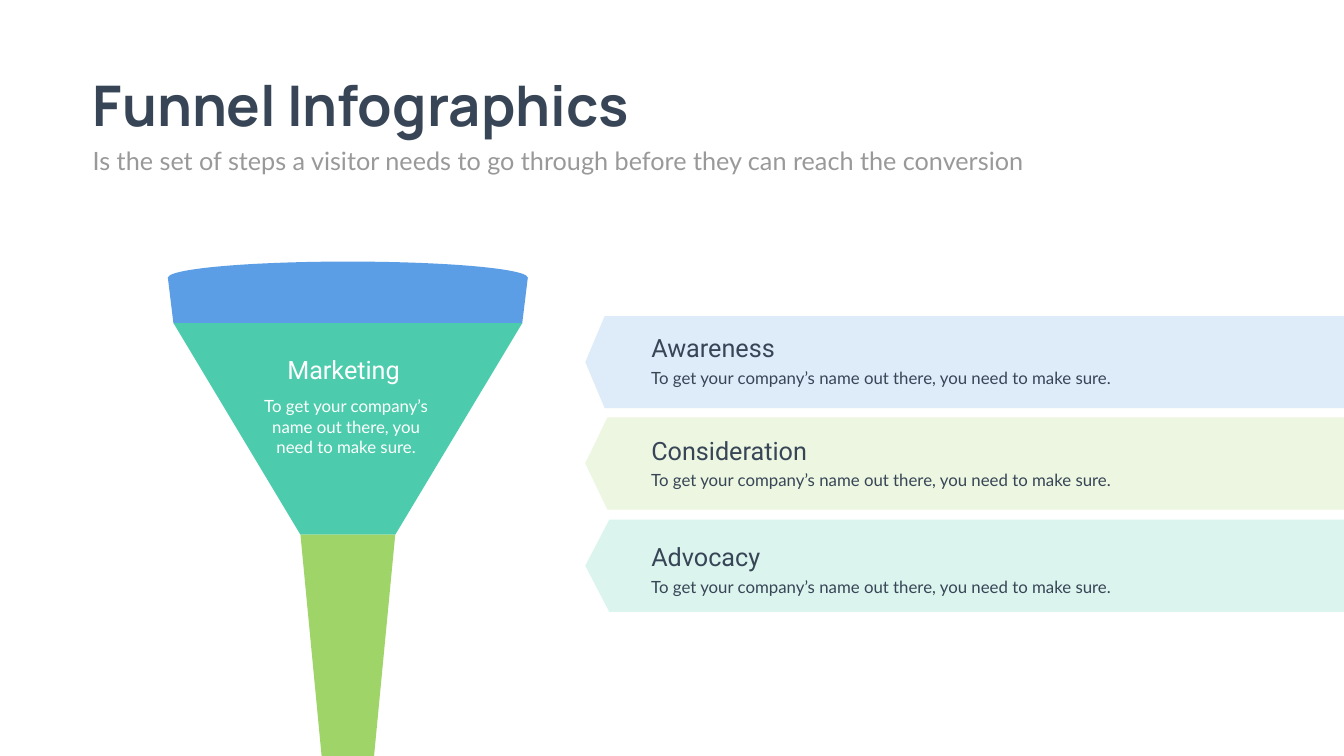
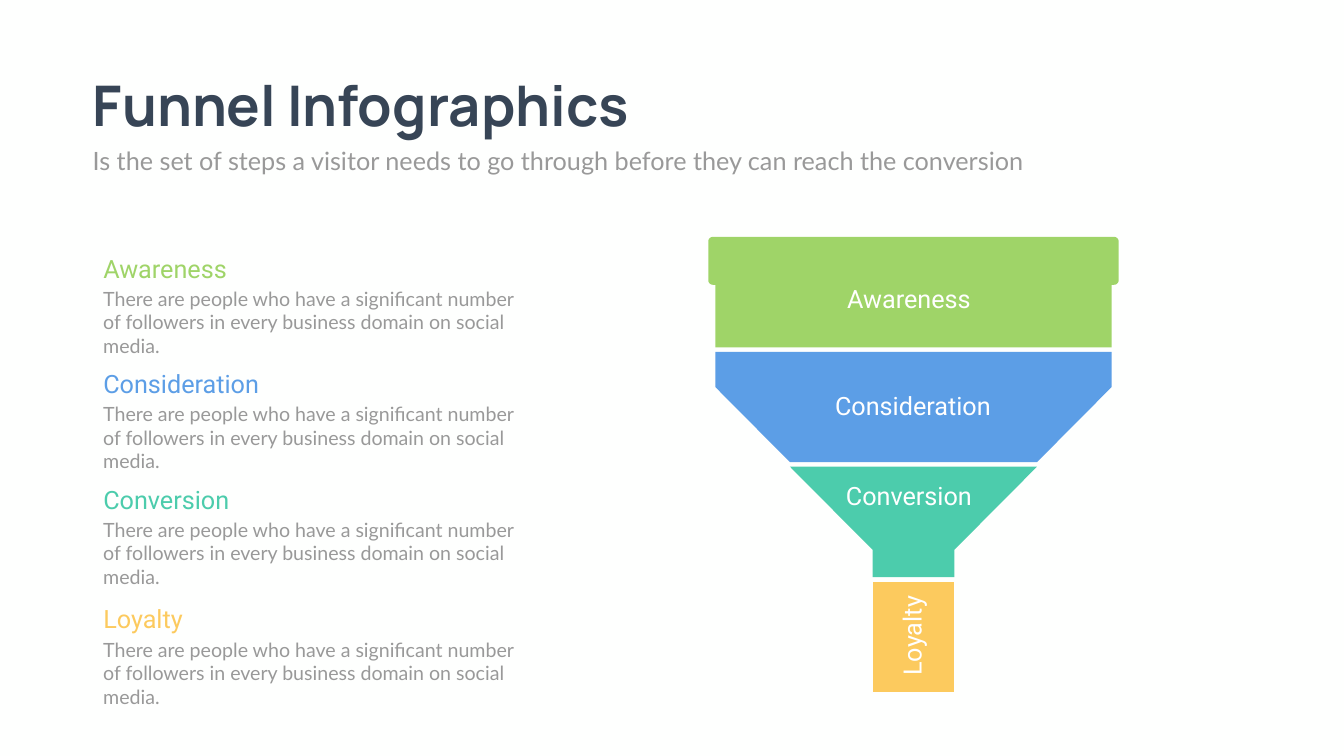
from dataclasses import dataclass, field
from math import cos, radians, sin
from typing import NamedTuple

from pptx import Presentation
from pptx.dml.color import RGBColor as RGB
from pptx.enum.shapes import MSO_SHAPE as Kind
from pptx.enum.text import MSO_ANCHOR as Anchor, MSO_AUTO_SIZE as Fit, PP_ALIGN as Align
from pptx.util import Inches, Pt


# Colours and type styles
@dataclass(frozen=True)
class Theme:
    back: str = "FEFFFE"
    ink: str = "374556"
    gray: str = "999999"
    white: str = "FFFFFF"
    blue: str = "5C9EE6"
    teal: str = "4CCCAC"
    green: str = "9FD468"
    gold: str = "FCCA5E"
    sky: str = "DEECFA"
    lime: str = "ECF6E1"
    mint: str = "DBF5EE"
    title: dict = field(default_factory=lambda: dict(name="Manrope", size=Pt(80), bold=True))
    head: dict = field(default_factory=lambda: dict(name="Roboto", size=Pt(36)))
    lead: dict = field(default_factory=lambda: dict(name="Lato", size=Pt(36)))
    body: dict = field(default_factory=lambda: dict(name="Lato", size=Pt(28)))
    small: dict = field(default_factory=lambda: dict(name="Lato", size=Pt(24)))


THEME = Theme()
TITLE = "Funnel Infographics"
LEAD = "Is the set of steps a visitor needs to go through before they can reach the conversion"
PITCH = "To get your company’s name out there, you need to make sure."
CROWD = ("There are people who have a significant number of followers "
         "in every business domain on social media.")


# Repeated elements, in inches
class Box(NamedTuple):
    left: float
    top: float
    width: float
    height: float

    def lengths(self) -> list:
        return [Inches(side) for side in self]


class Bar(NamedTuple):
    name: str
    top: float
    text_top: float
    point: float
    fill: str


class Step(NamedTuple):
    name: str
    top: float
    color: str


class Label(NamedTuple):
    name: str
    box: Box
    turn: int = 0


class Layer(NamedTuple):
    """Right-hand edge of a funnel part, as (half width, y) from top to bottom."""
    edge: list
    fill: str


# Drawing functions
def paint(shape, color: str) -> None:
    shape.fill.solid()
    shape.fill.fore_color.rgb = RGB.from_string(color)
    shape.line.fill.background()
    shape.shadow.inherit = False


def write(shape, text: str, style: dict, color: str, align=Align.LEFT, anchor=Anchor.TOP) -> None:
    frame = shape.text_frame
    frame.text = text
    for key, value in dict(word_wrap=True, auto_size=Fit.NONE, vertical_anchor=anchor).items():
        setattr(frame, key, value)
    line = frame.paragraphs[0]
    line.alignment = align
    for key, value in style.items():
        setattr(line.font, key, value)
    line.font.color.rgb = RGB.from_string(color)


def add_text(slide, box: Box, text: str, style: dict, color: str, align=Align.LEFT, turn: int = 0) -> None:
    shape = slide.shapes.add_textbox(*box.lengths())
    shape.rotation = turn
    write(shape, text, style, color, align)


def add_bar(slide, bar: Bar) -> None:
    shape = slide.shapes.add_shape(Kind.PENTAGON, *Box(11.61, bar.top, 15.05, 1.83).lengths())
    shape.rotation = 180
    shape.adjustments[0] = bar.point
    paint(shape, bar.fill)
    add_text(slide, Box(12.82, bar.text_top, 9.88, 0.71), bar.name, THEME.head, THEME.ink)
    add_text(slide, Box(12.82, bar.text_top + 0.69, 10.26, 0.5), PITCH, THEME.small, THEME.ink)


def add_step(slide, step: Step) -> None:
    add_text(slide, Box(1.95, step.top, 3.82, 0.71), step.name, THEME.head, step.color)
    add_text(slide, Box(1.95, step.top + 0.67, 8.76, 1.04), CROWD, THEME.body, THEME.gray)


def add_funnel(slide, mid: float, layers: list):
    """Mirror each layer's edge about the middle and group the parts."""
    group = slide.shapes.add_group_shape()
    for layer in layers:
        right = [(mid + half, y) for half, y in layer.edge]
        left = [(mid - half, y) for half, y in reversed(layer.edge)]
        spots = [(Inches(x), Inches(y)) for x, y in right + left]
        pen = group.shapes.build_freeform(*spots[0])
        pen.add_line_segments(spots[1:], close=True)
        paint(pen.convert_to_shape(), layer.fill)
    return group


def round_off(x: float, y: float, radius: float, start: int) -> list:
    """Points of a quarter circle around (x, y)."""
    turns = [radians(start + step) for step in range(0, 91, 15)]
    return [(x + radius * cos(turn), y + radius * sin(turn)) for turn in turns]


def add_slide(deck):
    slide = deck.slides.add_slide(deck.slide_layouts[5])
    title = slide.shapes.title
    for key, value in zip(("left", "top", "width", "height"), Box(1.74, 1.35, 11.71, 1.45).lengths()):
        setattr(title, key, value)
    write(title, TITLE, THEME.title, THEME.ink, anchor=Anchor.MIDDLE)
    add_text(slide, Box(1.74, 2.84, 20.82, 0.71), LEAD, THEME.lead, THEME.gray)
    return slide


# Slide 1: marketing funnel with three bars
def draw_bars(deck) -> None:
    slide = add_slide(deck)
    for bar in (
        Bar("Awareness", 6.27, 6.55, 0.21, THEME.sky),
        Bar("Consideration", 8.28, 8.58, 0.24, THEME.lime),
        Bar("Advocacy", 10.31, 10.7, 0.26, THEME.mint),
    ):
        add_bar(slide, bar)

    rim, neck, stem = (3.57, 5.51), (3.46, 6.41), (0.94, 10.61)
    funnel = add_funnel(slide, 6.9, [
        Layer([rim, neck], THEME.blue),
        Layer([neck, stem], THEME.teal),
        Layer([stem, (0.52, 15)], THEME.green),
    ])
    lid = funnel.shapes.add_shape(Kind.OVAL, *Box(3.33, 5.19, 7.14, 0.64).lengths())
    paint(lid, THEME.blue)
    add_text(slide, Box(5.32, 6.98, 2.99, 0.71), "Marketing", THEME.head, THEME.white, Align.CENTER)
    add_text(slide, Box(5.09, 7.81, 3.55, 1.34), PITCH, THEME.small, THEME.white, Align.CENTER)


# Slide 2: four steps beside a four-part funnel
def draw_steps(deck) -> None:
    slide = add_slide(deck)
    for step in (
        Step("Awareness", 4.97, THEME.green),
        Step("Consideration", 7.26, THEME.blue),
        Step("Conversion", 9.55, THEME.teal),
        Step("Loyalty", 11.93, THEME.gold),
    ):
        add_step(slide, step)

    tall = 2.19
    one, two, three, four = (4.7 + 2.28 * row for row in range(4))
    lip, wide, waist, spout, bend = 4.07, 3.93, 2.45, 0.81, 0.09
    low = one + 0.95
    rim = round_off(lip - bend, one + bend, bend, -90) + round_off(lip - bend, low - bend, bend, 0)
    add_funnel(slide, 18.12, [
        Layer(rim + [(wide, low), (wide, one + tall)], THEME.green),
        Layer([(wide, two), (wide, two + 0.7), (waist, two + tall)], THEME.blue),
        Layer([(waist, three), (spout, three + 1.65), (spout, three + tall)], THEME.teal),
        Layer([(spout, four), (spout, four + tall)], THEME.gold),
    ])
    for label in (
        Label("Awareness", Box(13.09, 5.58, 9.88, 0.71)),
        Label("Consideration", Box(13.17, 7.69, 9.88, 0.71)),
        Label("Conversion", Box(15.45, 9.49, 5.16, 0.71)),
        Label("Loyalty", Box(17, 12.26, 2.17, 0.71), 270),
    ):
        add_text(slide, label.box, label.name, THEME.head, THEME.white, Align.CENTER, label.turn)


def main() -> None:
    deck = Presentation()
    deck.slide_width, deck.slide_height = Inches(26.66), Inches(15)
    back = deck.slide_master.background.fill
    back.solid()
    back.fore_color.rgb = RGB.from_string(THEME.back)
    draw_bars(deck)
    draw_steps(deck)
    deck.save("out.pptx")


if __name__ == "__main__":
    main()
